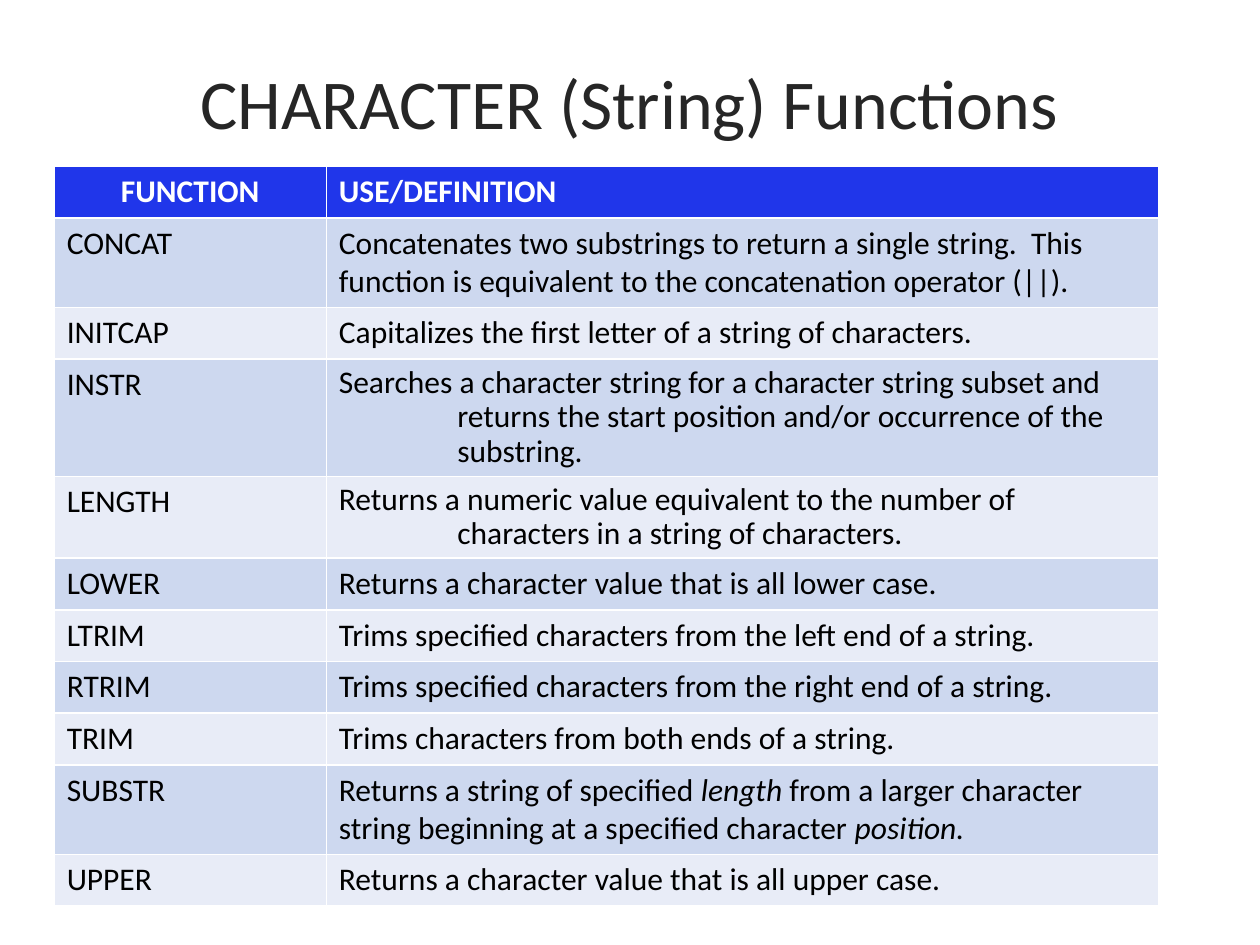
from pptx import Presentation
from pptx.dml.color import RGBColor
from pptx.enum.text import MSO_ANCHOR, PP_ALIGN
from pptx.util import Inches, Pt

CENTER = PP_ALIGN.CENTER
LEFT = PP_ALIGN.LEFT
MIDDLE = MSO_ANCHOR.MIDDLE
INK = RGBColor(0x26, 0x26, 0x26)
BLACK = RGBColor(0, 0, 0)
WHITE = RGBColor(0xFF, 0xFF, 0xFF)
BLUE = RGBColor(0x20, 0x36, 0xEA)
BANDS = (RGBColor(0xE8, 0xEC, 0xF7), RGBColor(0xCD, 0xD8, 0xEF))

WIDTHS = (2.16, 6.61)
HANGING = ("INSTR", "LENGTH")
ROWS = (
    (0.41, "FUNCTION", "USE/DEFINITION"),
    (0.71, "CONCAT", "Concatenates two substrings to return a single string.  This "
     "function is equivalent to the concatenation operator (||)."),
    (0.41, "INITCAP", "Capitalizes the first letter of a string of characters."),
    (0.93, "INSTR", "Searches a character string for a character string subset and "
     "returns the start position and/or occurrence of the substring."),
    (0.65, "LENGTH", "Returns a numeric value equivalent to the number of "
     "characters in a string of characters."),
    (0.41, "LOWER", "Returns a character value that is all lower case."),
    (0.41, "LTRIM", "Trims specified characters from the left end of a string."),
    (0.41, "RTRIM", "Trims specified characters from the right end of a string."),
    (0.41, "TRIM", "Trims characters from both ends of a string."),
    (0.71, "SUBSTR", "Returns a string of specified *length* from a larger character "
     "string beginning at a specified character *position.*"),
    (0.41, "UPPER", "Returns a character value that is all upper case."),
)


class Deck:
    """Holds the text style and the current slide."""

    font = "Calibri"

    def __init__(self, slide):
        self.slide = slide

    def style(self, para, size, color, bold=False, align=LEFT):
        para.alignment = align
        para.font.name = self.font
        para.font.size = Pt(size)
        para.font.bold = bold
        para.font.color.rgb = color

    def title(self, text, left, top, width, height):
        shape = self.slide.shapes.title
        shape.left, shape.top = Inches(left), Inches(top)
        shape.width, shape.height = Inches(width), Inches(height)
        frame = shape.text_frame
        frame.text = text
        frame.vertical_anchor = MIDDLE
        self.style(frame.paragraphs[0], 40, INK, align=CENTER)

    def cell(self, cell, text, fill, color, bold, align):
        cell.fill.solid()
        cell.fill.fore_color.rgb = fill
        para = cell.text_frame.paragraphs[0]
        for i, part in enumerate(text.split("*")):
            if part:
                run = para.add_run()
                run.text = part
                if i % 2:
                    run.font.italic = True
        self.style(para, 18, color, bold, align)
        return para

    def hang(self, para, depth):
        para.line_spacing = 0.9
        props = para._p.get_or_add_pPr()
        props.set("marL", str(Inches(depth)))
        props.set("indent", str(-Inches(depth)))

    def table(self, rows, widths, left, top):
        height = sum(row[0] for row in rows)
        table = self.slide.shapes.add_table(
            len(rows), len(widths), Inches(left), Inches(top),
            Inches(sum(widths)), Inches(height)).table
        for col, width in zip(table.columns, widths):
            col.width = Inches(width)
        for r, (tall, name, use) in enumerate(rows):
            table.rows[r].height = Inches(tall)
            head = r == 0
            fill = BLUE if head else BANDS[r % 2]
            color = WHITE if head else BLACK
            self.cell(table.cell(r, 0), name, fill, color, head,
                      CENTER if head else LEFT)
            para = self.cell(table.cell(r, 1), use, fill, color, head, LEFT)
            if name in HANGING:
                self.hang(para, 0.94)


def main():
    prs = Presentation()
    prs.slide_width, prs.slide_height = Inches(10), Inches(7.5)
    deck = Deck(prs.slides.add_slide(prs.slide_layouts[5]))
    deck.title("CHARACTER (String) Functions", 0.79, 0.18, 8.41, 1.25)
    deck.table(ROWS, WIDTHS, 0.43, 1.32)
    prs.save("out.pptx")


if __name__ == "__main__":
    main()
